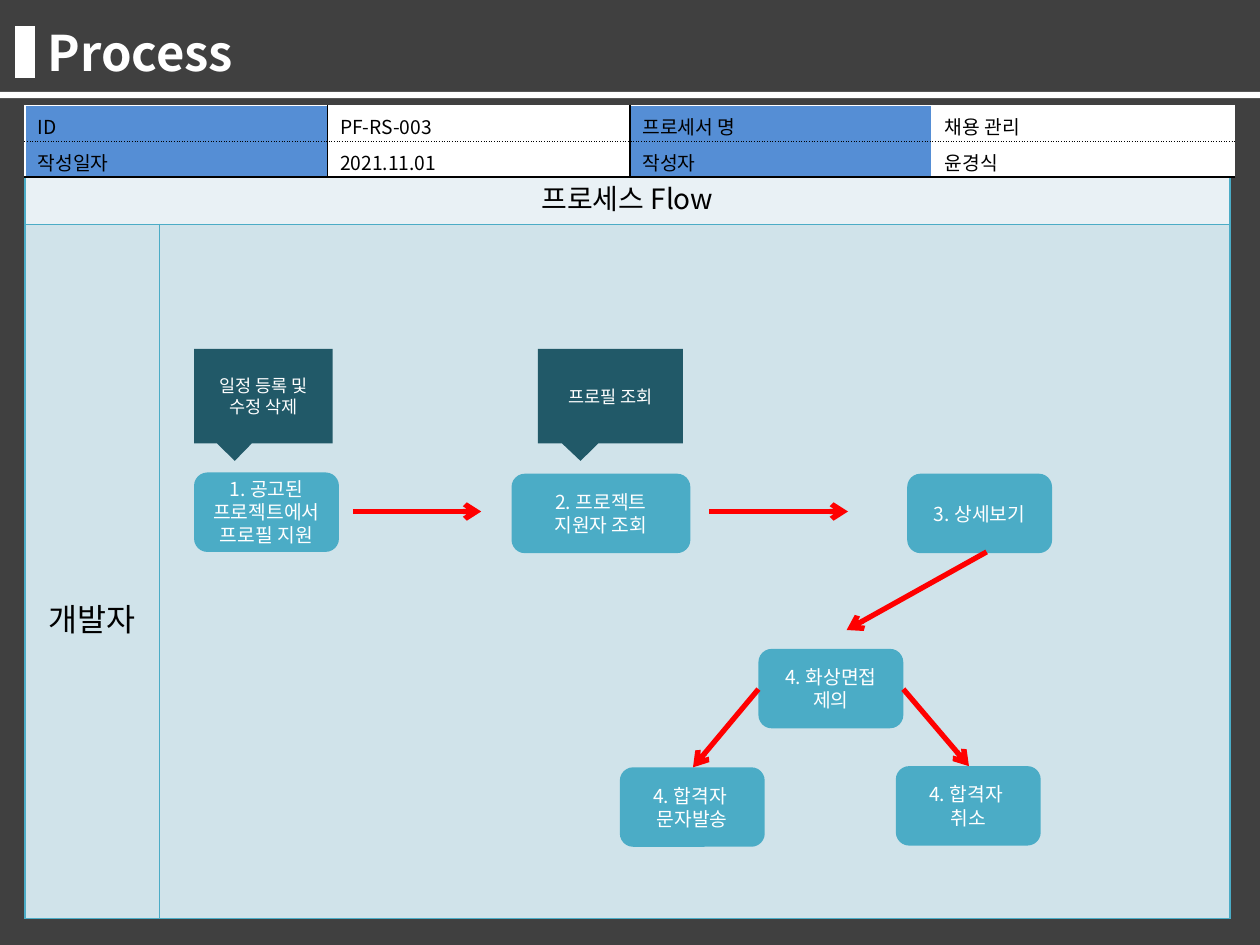
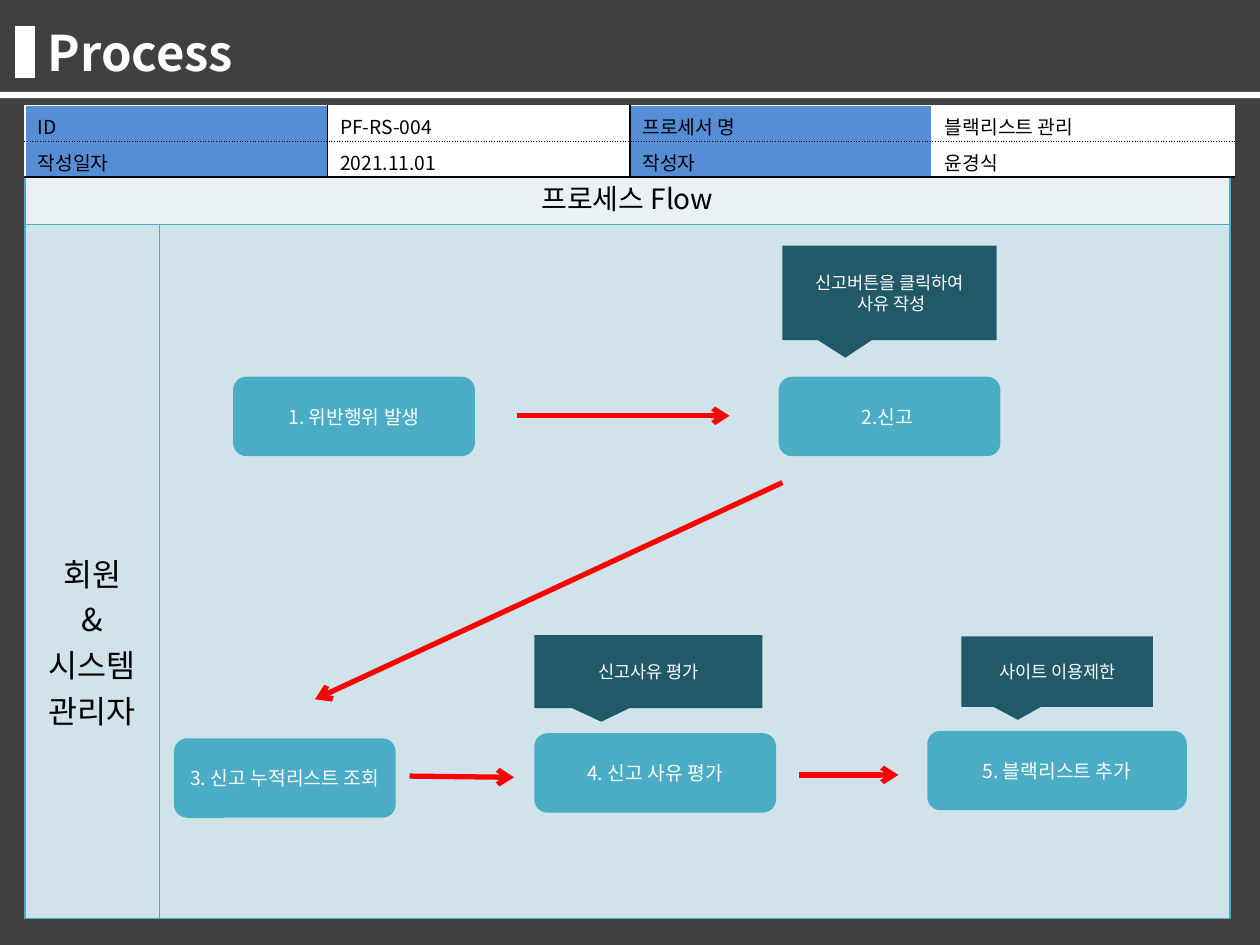
from lxml import etree
from pptx import Presentation
from pptx.dml.color import RGBColor
from pptx.enum.shapes import MSO_CONNECTOR, MSO_SHAPE
from pptx.enum.text import MSO_ANCHOR, PP_ALIGN
from pptx.oxml.ns import qn
from pptx.util import Pt

RECTANGLE = MSO_SHAPE.RECTANGLE
ROUNDED = MSO_SHAPE.ROUNDED_RECTANGLE
CALLOUT = MSO_SHAPE.RECTANGULAR_CALLOUT
STRAIGHT = MSO_CONNECTOR.STRAIGHT
LEFT, CENTER = PP_ALIGN.LEFT, PP_ALIGN.CENTER
TOP, MIDDLE, BOTTOM = MSO_ANCHOR.TOP, MSO_ANCHOR.MIDDLE, MSO_ANCHOR.BOTTOM

FONT = "Noto Sans CJK KR"
COLORS = {
    "back": "404040", "white": "FFFFFF", "black": "000000",
    "label": "558ED5", "heading": "E9F1F5", "lane": "D0E3EA",
    "step": "4BACC6", "note": "215968", "arrow": "FF0000",
}
TITLE_ONLY = 5
STEP_HEIGHT = 45.4
TABLE_LEFT = 14.3

# Each page: info table, lane label with its top margin, then the flow.
# Steps are (left, top, width, lines), notes (left, top, width, height, lines),
# arrows (from x, from y, to x, to y).
HIRING = {
    "id": "PF-RS-003", "name": "채용 관리",
    "lane": ["개발자"], "lane_margin": 212,
    "steps": [
        (110.9, 270, 82.8, ["1. 공고된 프로젝트에서 프로필 지원"]),
        (292.3, 270.7, 102.2, ["2. 프로젝트 지원자 조회"]),
        (518.4, 270.7, 82.8, ["3. 상세보기"]),
        (433.4, 370.8, 82.8, ["4. 화상면접 제의"]),
        (354.2, 438.5, 82.8, ["4. 합격자 ", "문자발송"]),
        (511.9, 437.8, 82.8, ["4. 합격자 ", "취소"]),
    ],
    "notes": [
        (110.9, 199.4, 79.2, 54, ["일정 등록 및 수정 삭제"]),
        (307.4, 199.4, 82.8, 54, ["프로필 조회"]),
    ],
    "arrows": [
        (201.6, 292.3, 275, 292.3),
        (405.4, 292.3, 484.6, 292.3),
        (563.8, 315.4, 483.8, 360),
        (433.4, 393.8, 396, 438.5),
        (516.2, 393.8, 553.7, 437.8),
    ],
}
BLACKLIST = {
    "id": "PF-RS-004", "name": "블랙리스트 관리",
    "lane": ["회원", "&", "시스템관리자"], "lane_margin": 186,
    "steps": [
        (133.2, 215.3, 138.2, ["1. 위반행위 발생"]),
        (445, 215.3, 126.7, ["2.신고 "]),
        (99.4, 421.9, 126.7, ["3. 신고 누적리스트 조회"]),
        (305.3, 419, 138.2, ["4. 신고 사유 평가"]),
        (529.9, 417.6, 148.3, ["5. 블랙리스트 추가"]),
    ],
    "notes": [
        (447.1, 140.4, 122.4, 54, ["신고버튼을 클릭하여", " 사유 작성"]),
        (305.3, 362.9, 130.3, 41.8, ["신고사유 평가"]),
        (549.4, 363.6, 109.4, 40.3, ["사이트 이용제한"]),
    ],
    "arrows": [
        (295.2, 237.6, 416.9, 237.6),
        (447.1, 275.8, 180, 399.6),
        (234, 443.5, 293.8, 444.2),
        (456.5, 442.8, 513.4, 442.8),
    ],
}


def color(name):
    return RGBColor.from_string(COLORS[name])


def write(frame, lines, size, ink, align=CENTER, bold=False):
    """Fill a text frame with one paragraph per line."""
    for number, line in enumerate(lines):
        para = frame.paragraphs[0] if number == 0 else frame.add_paragraph()
        para.text = line
        para.alignment = align
        font = para.font
        font.name, font.size, font.bold = FONT, Pt(size), bold
        font.color.rgb = color(ink)
        # East Asian typeface has no public property
        defaults = para._p.pPr.find(qn("a:defRPr"))
        etree.SubElement(defaults, qn("a:ea"), typeface=FONT)


def add_box(page, kind, left, top, width, height, fill):
    box = page.shapes.add_shape(kind, Pt(left), Pt(top), Pt(width), Pt(height))
    box.shadow.inherit = False
    box.fill.solid()
    box.fill.fore_color.rgb = color(fill)
    box.line.fill.background()
    return box


def add_step(page, left, top, width, lines):
    box = add_box(page, ROUNDED, left, top, width, STEP_HEIGHT, "step")
    box.text_frame.vertical_anchor = MIDDLE
    write(box.text_frame, lines, 11, "white")


def add_note(page, left, top, width, height, lines):
    box = add_box(page, CALLOUT, left, top, width, height, "note")
    box.adjustments[0], box.adjustments[1] = -0.206, 0.685
    box.text_frame.vertical_anchor = MIDDLE
    write(box.text_frame, lines, 10, "white")


def add_arrow(page, *ends):
    arrow = page.shapes.add_connector(STRAIGHT, *(Pt(end) for end in ends))
    arrow.line.color.rgb = color("arrow")
    arrow.line.width = Pt(3)
    etree.SubElement(arrow.line._get_or_add_ln(), qn("a:tailEnd"), type="arrow")
    etree.SubElement(arrow._element.spPr, qn("a:effectLst"))


def add_grid(page, top, widths, heights):
    """Add a plain table without the banded style."""
    frame = page.shapes.add_table(
        len(heights), len(widths), Pt(TABLE_LEFT), Pt(top),
        Pt(sum(widths)), Pt(sum(heights)))
    table = frame.table
    table.first_row = table.horz_banding = False
    for column, width in zip(table.columns, widths):
        column.width = Pt(width)
    for row, height in zip(table.rows, heights):
        row.height = Pt(height)
    return table


def style_cell(cell, fill, borders, anchor):
    """Borders are (color, dash) for left, right, top and bottom."""
    properties = cell._tc.get_or_add_tcPr()
    for side, (ink, dash) in zip("LRTB", borders):
        line = etree.SubElement(properties, qn("a:ln" + side), w=str(Pt(1)))
        solid = etree.SubElement(line, qn("a:solidFill"))
        etree.SubElement(solid, qn("a:srgbClr"), val=COLORS[ink])
        etree.SubElement(line, qn("a:prstDash"), val=dash)
    cell.fill.solid()
    cell.fill.fore_color.rgb = color(fill)
    cell.vertical_anchor = anchor


def add_flow_table(page, lane, lane_margin):
    table = add_grid(page, 97.9, [77, 611.5], [30.2, 396.7])
    for row, fill in enumerate(["heading", "lane"]):
        for column in range(2):
            style_cell(table.cell(row, column), fill, [("step", "solid")] * 4, TOP)
    heading, label = table.cell(0, 0), table.cell(1, 0)
    heading.merge(table.cell(0, 1))
    write(heading.text_frame, ["프로세스 Flow"], 16, "black")
    label.margin_top = Pt(lane_margin)
    write(label.text_frame, lane, 18, "black")


def add_info_table(page, process_id, process_name):
    table = add_grid(page, 60.3, [172.8] * 4, [20.5] * 2)
    uprights = [(ink, "solid") for ink in
                ("white", "black", "black", "white", "white")]
    levels = [("white", "solid"), ("black", "sysDot"), ("black", "solid")]
    rows = [["ID ", process_id, "프로세서 명", process_name],
            ["작성일자", "2021.11.01", "작성자", "윤경식"]]
    for row, texts in enumerate(rows):
        for column, text in enumerate(texts):
            cell = table.cell(row, column)
            borders = uprights[column:column + 2] + levels[row:row + 2]
            fill = "white" if column % 2 else "label"
            style_cell(cell, fill, borders, BOTTOM)
            cell.margin_top, cell.margin_bottom = Pt(3.6), Pt(0.8)
            write(cell.text_frame, [text], 11, "black", LEFT)


def add_header(page):
    """Dark background, title, marker and rule shared by all pages."""
    page.background.fill.solid()
    page.background.fill.fore_color.rgb = color("back")
    title = page.shapes.title
    title.left, title.top = Pt(20.2), Pt(9.4)
    title.width, title.height = Pt(646.6), Pt(41)
    title.text_frame.vertical_anchor = MIDDLE
    write(title.text_frame, ["Process"], 28, "white", LEFT, bold=True)
    add_box(page, RECTANGLE, 8.6, 15, 11.3, 29.5, "white")
    add_box(page, RECTANGLE, 0, 52.5, 720, 3.6, "white")


def add_process_page(deck, process):
    page = deck.slides.add_slide(deck.slide_layouts[TITLE_ONLY])
    add_header(page)
    add_flow_table(page, process["lane"], process["lane_margin"])
    add_info_table(page, process["id"], process["name"])
    for step in process["steps"]:
        add_step(page, *step)
    for note in process["notes"]:
        add_note(page, *note)
    for arrow in process["arrows"]:
        add_arrow(page, *arrow)


def main():
    deck = Presentation()
    deck.slide_width, deck.slide_height = Pt(720), Pt(540)
    for process in (HIRING, BLACKLIST):
        add_process_page(deck, process)
    deck.save("out.pptx")


main()
